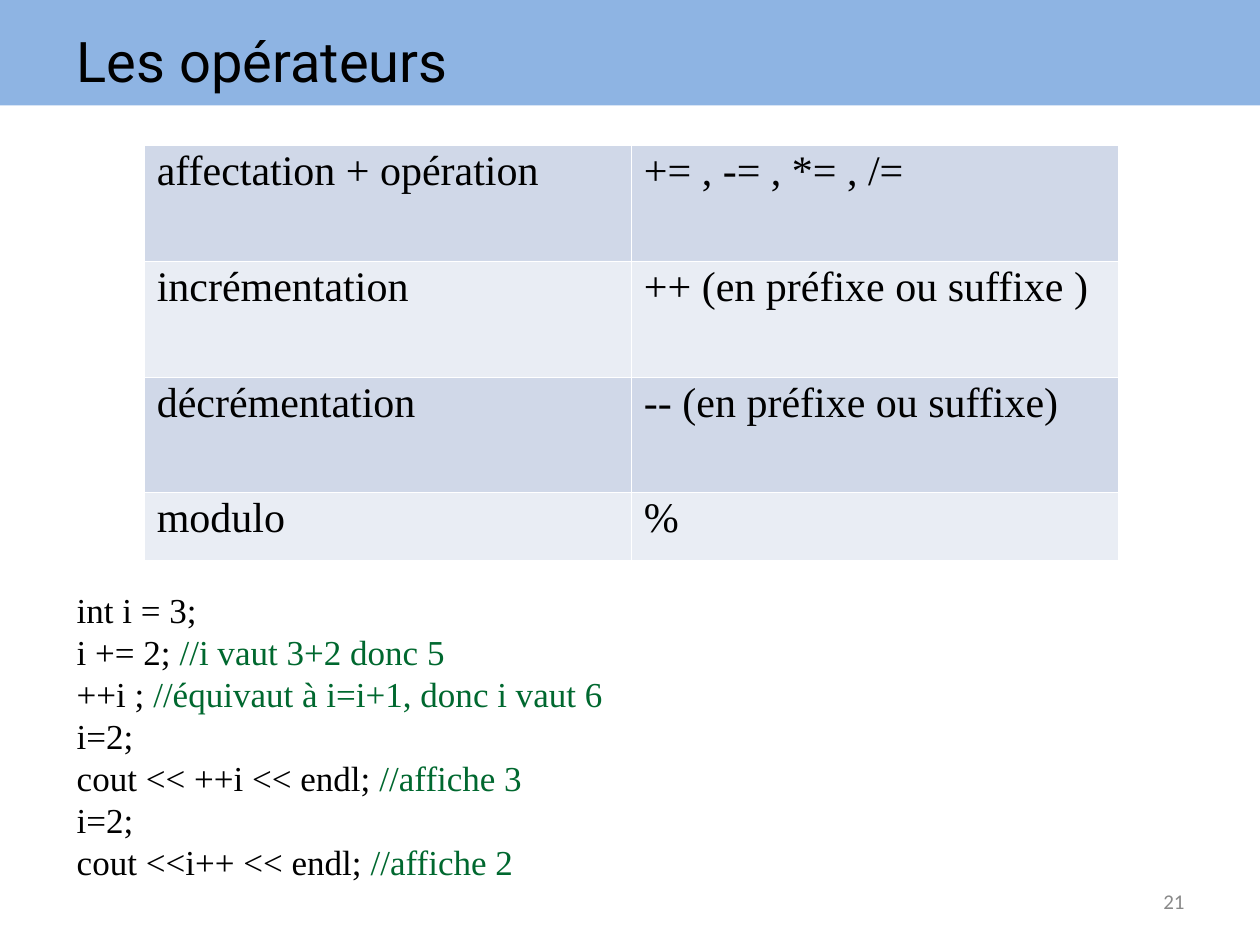
from dataclasses import dataclass

from lxml import etree
from pptx import Presentation
from pptx.dml.color import RGBColor
from pptx.enum.shapes import MSO_SHAPE
from pptx.enum.text import MSO_ANCHOR, PP_ALIGN
from pptx.oxml.ns import qn
from pptx.util import Pt

RECTANGLE = MSO_SHAPE.RECTANGLE
TOP, MIDDLE = MSO_ANCHOR.TOP, MSO_ANCHOR.MIDDLE
LEFT, RIGHT = PP_ALIGN.LEFT, PP_ALIGN.RIGHT
BLANK_LAYOUT = 6


@dataclass(frozen=True)
class Theme:
    banner: str = "8EB4E3"
    text: str = "000000"
    comment: str = "00682F"
    muted: str = "898989"
    border: str = "FFFFFF"
    bands: tuple = ("D0D8E8", "E9EDF4")
    title_font: str = "Roboto"
    body_font: str = "Times New Roman"
    number_font: str = "Calibri"
    title_size: float = 32
    table_size: float = 24
    code_size: float = 20
    number_size: float = 12
    border_width: float = 0.06
    table_spacing: float = 0.92


class SlideBuilder:
    def __init__(self, slide, theme):
        self.slide = slide
        self.theme = theme

    def add_run(self, paragraph, text, font, size, color):
        run = paragraph.add_run()
        run.text = text
        for name, value in {"name": font, "size": Pt(size)}.items():
            setattr(run.font, name, value)
        run.font.color.rgb = RGBColor.from_string(color)

    def add_band(self, box, color):
        shape = self.slide.shapes.add_shape(RECTANGLE, *map(Pt, box))
        shape.shadow.inherit = False
        shape.fill.solid()
        shape.fill.fore_color.rgb = RGBColor.from_string(color)
        shape.line.fill.background()

    def add_text(self, box, lines, font, size, anchor=TOP, align=LEFT):
        """Each line is a list of (text, color) pairs."""
        frame = self.slide.shapes.add_textbox(*map(Pt, box)).text_frame
        for name, value in {"word_wrap": True, "vertical_anchor": anchor}.items():
            setattr(frame, name, value)
        for index, line in enumerate(lines):
            paragraph = frame.add_paragraph() if index else frame.paragraphs[0]
            paragraph.alignment = align
            for text, color in line:
                self.add_run(paragraph, text, font, size, color)

    def add_code(self, box, lines):
        theme = self.theme
        colored_lines = []
        for line in lines:
            code, slashes, comment = line.partition("//")
            parts = [(code, theme.text)]
            if slashes:
                parts.append((slashes + comment, theme.comment))
            colored_lines.append(parts)
        self.add_text(box, colored_lines, theme.body_font, theme.code_size)

    def add_borders(self, cell):
        properties = cell._tc.get_or_add_tcPr()
        for side in ("lnL", "lnR", "lnT", "lnB"):
            line = etree.SubElement(properties, qn(f"a:{side}"),
                                    w=str(Pt(self.theme.border_width)))
            fill = etree.SubElement(line, qn("a:solidFill"))
            etree.SubElement(fill, qn("a:srgbClr"), val=self.theme.border)

    def add_table(self, box, rows, row_heights):
        theme = self.theme
        table = self.slide.shapes.add_table(
            len(rows), len(rows[0]), *map(Pt, box)).table
        for row, height in zip(table.rows, row_heights):
            row.height = Pt(height)
        for row_index, texts in enumerate(rows):
            band = theme.bands[row_index % len(theme.bands)]
            for column_index, text in enumerate(texts):
                cell = table.cell(row_index, column_index)
                self.add_borders(cell)
                cell.fill.solid()
                cell.fill.fore_color.rgb = RGBColor.from_string(band)
                paragraph = cell.text_frame.paragraphs[0]
                paragraph.line_spacing = theme.table_spacing
                self.add_run(paragraph, text, theme.body_font,
                             theme.table_size, theme.text)


OPERATORS = [
    ("affectation + opération", "+= , -= , *= , /="),
    ("incrémentation", "++ (en préfixe ou suffixe )"),
    ("décrémentation", "-- (en préfixe ou suffixe)"),
    ("modulo", "%"),
]
CODE = [
    "int i = 3;",
    "i += 2; //i vaut 3+2 donc 5",
    "++i ; //équivaut à i=i+1, donc i vaut 6",
    "i=2;",
    "cout << ++i << endl; //affiche 3",
    "i=2;",
    "cout <<i++ << endl; //affiche 2",
]


def main():
    presentation = Presentation()
    presentation.slide_width, presentation.slide_height = Pt(720), Pt(540)
    slide = presentation.slides.add_slide(
        presentation.slide_layouts[BLANK_LAYOUT])
    theme = Theme()
    builder = SlideBuilder(slide, theme)

    # Title banner
    builder.add_band((0, 0, 720, 60.2), theme.banner)
    builder.add_text((36.8, 9.4, 648, 49.6), [[("Les opérateurs", theme.text)]],
                     theme.title_font, theme.title_size, MIDDLE)

    # Operator table
    row_heights = [66.1] * 3 + [39]
    builder.add_table((82.4, 83.1, 556.8, sum(row_heights)),
                      OPERATORS, row_heights)

    # Slide number
    builder.add_text((516, 500.5, 168, 28.8), [[("21", theme.muted)]],
                     theme.number_font, theme.number_size, MIDDLE, RIGHT)

    # Code example
    builder.add_code((36.8, 332.6, 623.5, 175.7), CODE)

    presentation.save("out.pptx")


if __name__ == "__main__":
    main()
